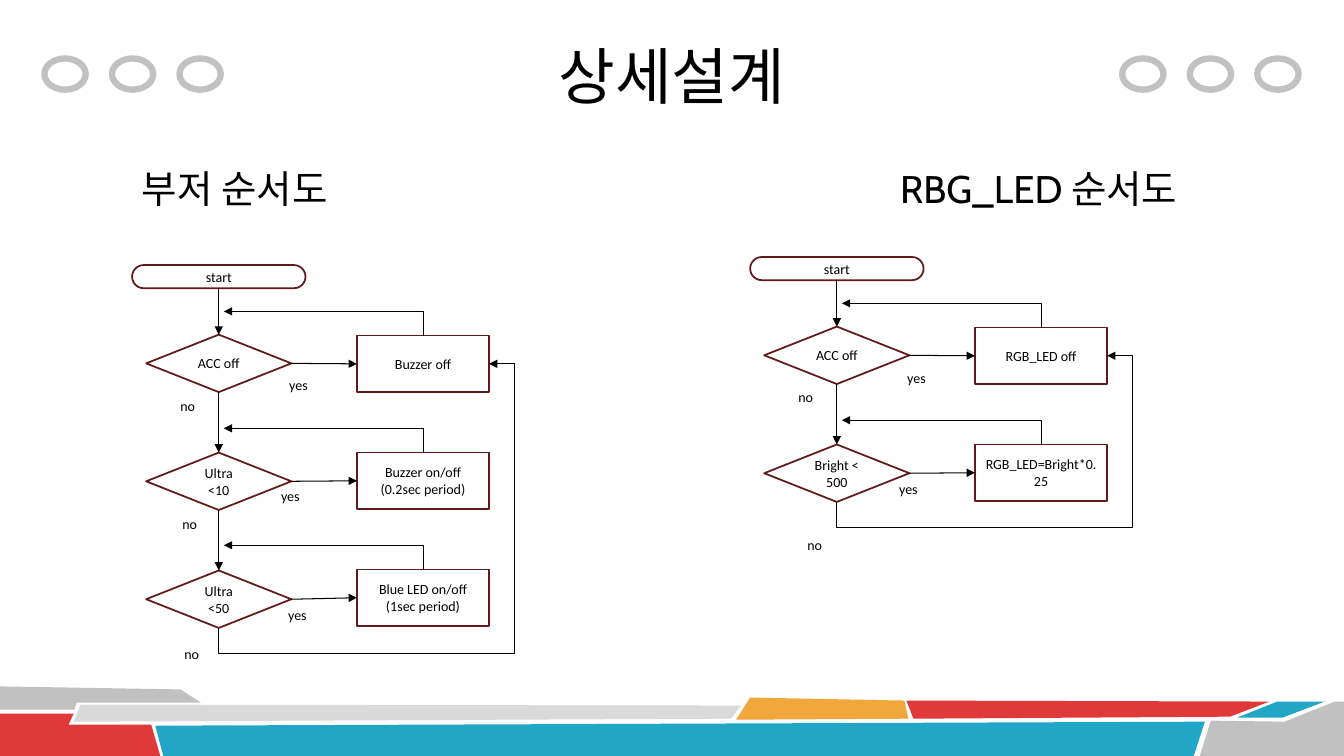
from lxml import etree
from pptx import Presentation
from pptx.dml.color import RGBColor
from pptx.enum.shapes import MSO_CONNECTOR, MSO_SHAPE
from pptx.enum.text import MSO_ANCHOR, MSO_AUTO_SIZE, PP_ALIGN
from pptx.oxml.ns import qn
from pptx.util import Inches, Pt

STRAIGHT, ELBOW = MSO_CONNECTOR.STRAIGHT, MSO_CONNECTOR.ELBOW
OVAL, PILL = MSO_SHAPE.OVAL, MSO_SHAPE.ROUNDED_RECTANGLE
DECISION, PROCESS = MSO_SHAPE.FLOWCHART_DECISION, MSO_SHAPE.RECTANGLE
MIDDLE, TOP = MSO_ANCHOR.MIDDLE, MSO_ANCHOR.TOP
CENTER, LEFT = PP_ALIGN.CENTER, PP_ALIGN.LEFT
GROW, FIXED = MSO_AUTO_SIZE.SHAPE_TO_FIT_TEXT, MSO_AUTO_SIZE.NONE
BOTTOM_SITE, LEFT_SITE, TOP_SITE, RIGHT_SITE = 2, 1, 0, 3

COLORS = {
    "gray": "C1C1C1", "pale": "DADADA", "red": "DF3939", "blue": "21A6C5",
    "amber": "F0A73C", "maroon": "621919", "black": "000000",
}

BANDS = [
    ("gray", [(0, 6.81), (1.79, 6.84), (1.99, 6.97), (0.76, 6.97), (0.74, 7.04), (0, 7.04)]),
    ("red", [(0, 7.08), (0.73, 7.08), (0.68, 7.19), (1.5, 7.19), (1.59, 7.5), (0, 7.5)]),
    ("pale", [(0.8, 6.99), (7.35, 7), (7.25, 7.13), (0.73, 7.16)]),
    ("blue", [(1.54, 7.2), (11.95, 7.16), (11.84, 7.5), (1.62, 7.5)]),
    ("amber", [(7.44, 6.92), (8.97, 6.95), (9.01, 7.13), (7.3, 7.14)]),
    ("red", [(8.99, 6.95), (12.59, 6.96), (12.2, 7.11), (9.06, 7.13)]),
    ("blue", [(12.67, 6.96), (13.14, 6.96), (12.72, 7.12), (12.27, 7.12)]),
    ("gray", [(12.01, 7.15), (12.74, 7.16), (13.24, 6.96), (13.33, 6.96), (13.33, 7.5), (11.9, 7.5)]),
]

FLOWS = [
    (1.31, 2.63, [("ACC off", "Buzzer off"),
                  ("Ultra\n<10", "Buzzer on/off\n(0.2sec period)"),
                  ("Ultra\n<50", "Blue LED on/off\n(1sec period)")]),
    (7.44, 2.55, [("ACC off", "RGB_LED off"),
                  ("Bright < 500", "RGB_LED=Bright*0.25")]),
]

LABELS = {
    "yes": [(2.77, 3.69), (2.69, 4.79), (2.76, 5.97), (8.9, 3.62), (8.82, 4.72)],
    "no": [(1.69, 3.89), (1.71, 5.07), (1.73, 6.35), (7.82, 3.81), (7.91, 5.27)],
}


def assign(target, values):
    for name, value in values.items():
        setattr(target, name, value)


def color(name):
    return RGBColor.from_string(COLORS[name])


class FlowPage:
    note = {"size": Pt(10), "name": "Calibri"}
    heading = {"size": Pt(27.5), "name": "Cabin"}
    headline = {"size": Pt(44), "name": "Cabin"}

    def __init__(self, page):
        self.page = page
        self.shapes = page.shapes

    def fill_text(self, box, text, font, align=CENTER, **frame_values):
        frame = box.text_frame
        assign(frame, {"word_wrap": True, "vertical_anchor": MIDDLE, **frame_values})
        for index, line in enumerate(text.split("\n")):
            para = frame.add_paragraph() if index else frame.paragraphs[0]
            para.alignment = align
            span = para.add_run()
            span.text = line
            assign(span.font, {"bold": False, **font})
            span.font.color.rgb = color("black")
        return frame

    def title(self, text, *area):
        box = self.shapes.title
        assign(box, dict(zip(("left", "top", "width", "height"), map(Inches, area))))
        self.fill_text(box, text, self.headline, auto_size=FIXED)

    def headings(self, texts, tab, *area):
        box = self.shapes.add_textbox(*map(Inches, area))
        para = self.fill_text(box, "\t".join(texts), self.heading, LEFT).paragraphs[0]
        para.line_spacing = 0.7
        stops = etree.SubElement(para._p.get_or_add_pPr(), qn("a:tabLst"))
        etree.SubElement(stops, qn("a:tab"), pos=str(Inches(tab)), algn="l")

    def label(self, text, left, top):
        box = self.shapes.add_textbox(*map(Inches, (left, top, 0.44, 0.27)))
        self.fill_text(box, text, self.note, LEFT, vertical_anchor=TOP, auto_size=GROW)

    def band(self, fill, points):
        corners = [(Inches(x), Inches(y)) for x, y in points]
        builder = self.shapes.build_freeform(*corners[0], scale=1.0)
        builder.add_line_segments(corners[1:], close=True)
        shape = builder.convert_to_shape()
        shape.shadow.inherit = False
        shape.fill.solid()
        shape.fill.fore_color.rgb = color(fill)
        shape.line.fill.background()

    def outline(self, kind, area, line="maroon", width=1.25, text=""):
        shape = self.shapes.add_shape(kind, *map(Inches, area))
        shape.shadow.inherit = False
        shape.fill.background()
        shape.line.color.rgb = color(line)
        shape.line.width = Pt(width)
        if text:
            self.fill_text(shape, text, self.note)
        return shape

    def connector(self, kind, *ends):
        link = self.shapes.add_connector(kind, *map(Inches, ends))
        link.line.color.rgb = color("black")
        link.line.width = Pt(0.75)
        properties = link.element.spPr
        etree.SubElement(properties.find(qn("a:ln")), qn("a:tailEnd"), type="triangle")
        etree.SubElement(properties, qn("a:effectLst"))
        return link

    def arrow(self, source, source_site, target, target_site):
        link = self.connector(STRAIGHT, 0, 0, 1, 1)
        link.begin_connect(source, source_site)
        link.end_connect(target, target_site)

    def bent_arrow(self, start, end, preset, turn, flips, adjustments=()):
        width, height = abs(end[1] - start[1]), abs(end[0] - start[0])
        left = (start[0] + end[0] - width) / 2
        top = (start[1] + end[1] - height) / 2
        link = self.connector(ELBOW, left, top, left + width, top + height)
        properties = link.element.spPr
        frame = properties.find(qn("a:xfrm"))
        frame.set("rot", str(turn * 60000))
        for flip in flips:
            frame.set(flip, "1")
        geometry = properties.find(qn("a:prstGeom"))
        geometry.set("prst", preset)
        guides = geometry.find(qn("a:avLst"))
        for number, value in enumerate(adjustments, 1):
            etree.SubElement(guides, qn("a:gd"), name=f"adj{number}", fmla=f"val {round(value * 100000)}")

    def flow(self, left, top, steps):
        axis = left + 0.86
        margin = 0.25
        previous = self.outline(PILL, (left, top, 1.72, 0.23), text="start")
        previous.adjustments[0] = 0.5
        for index, (question, action) in enumerate(steps):
            decision_top = top + 0.69 + 1.17 * index
            process_top = top + 0.7 + 1.16 * index
            decision = self.outline(DECISION, (left + 0.14, decision_top, 1.44, 0.57), text=question)
            process = self.outline(PROCESS, (left + 2.23, process_top, 1.31, 0.56), text=action)
            self.arrow(previous, BOTTOM_SITE, decision, TOP_SITE)
            self.arrow(decision, RIGHT_SITE, process, LEFT_SITE)
            self.bent_arrow((left + 2.89, process_top), (axis + 0.05, process_top - 0.24),
                            "bentConnector2", 270, ["flipV"])
            previous = decision
        start = (axis, decision_top + 0.57)
        end = (left + 3.54, top + 0.98)
        self.bent_arrow(start, end, "bentConnector4", 90, ["flipH", "flipV"],
                        (-margin / (start[1] - end[1]), 1 + margin / (end[0] - start[0])))


def main():
    deck = Presentation()
    assign(deck, {"slide_width": Inches(13.33), "slide_height": Inches(7.5)})
    page = FlowPage(deck.slides.add_slide(deck.slide_layouts[5]))
    for fill, points in BANDS:
        page.band(fill, points)
    for first in (0.44, 11.13):
        for index in range(3):
            page.outline(OVAL, (first + 0.67 * index, 0.58, 0.41, 0.31), "gray", 4.5)
    page.title("상세설계", 2.33, 0.12, 8.67, 1.25)
    page.headings(["부저 순서도", "RBG_LED 순서도"], 7.52, 1.31, 1.69, 11.5, 0.47)
    for left, top, steps in FLOWS:
        page.flow(left, top, steps)
    for text, places in LABELS.items():
        for left, top in places:
            page.label(text, left, top)
    deck.save("out.pptx")


if __name__ == "__main__":
    main()
